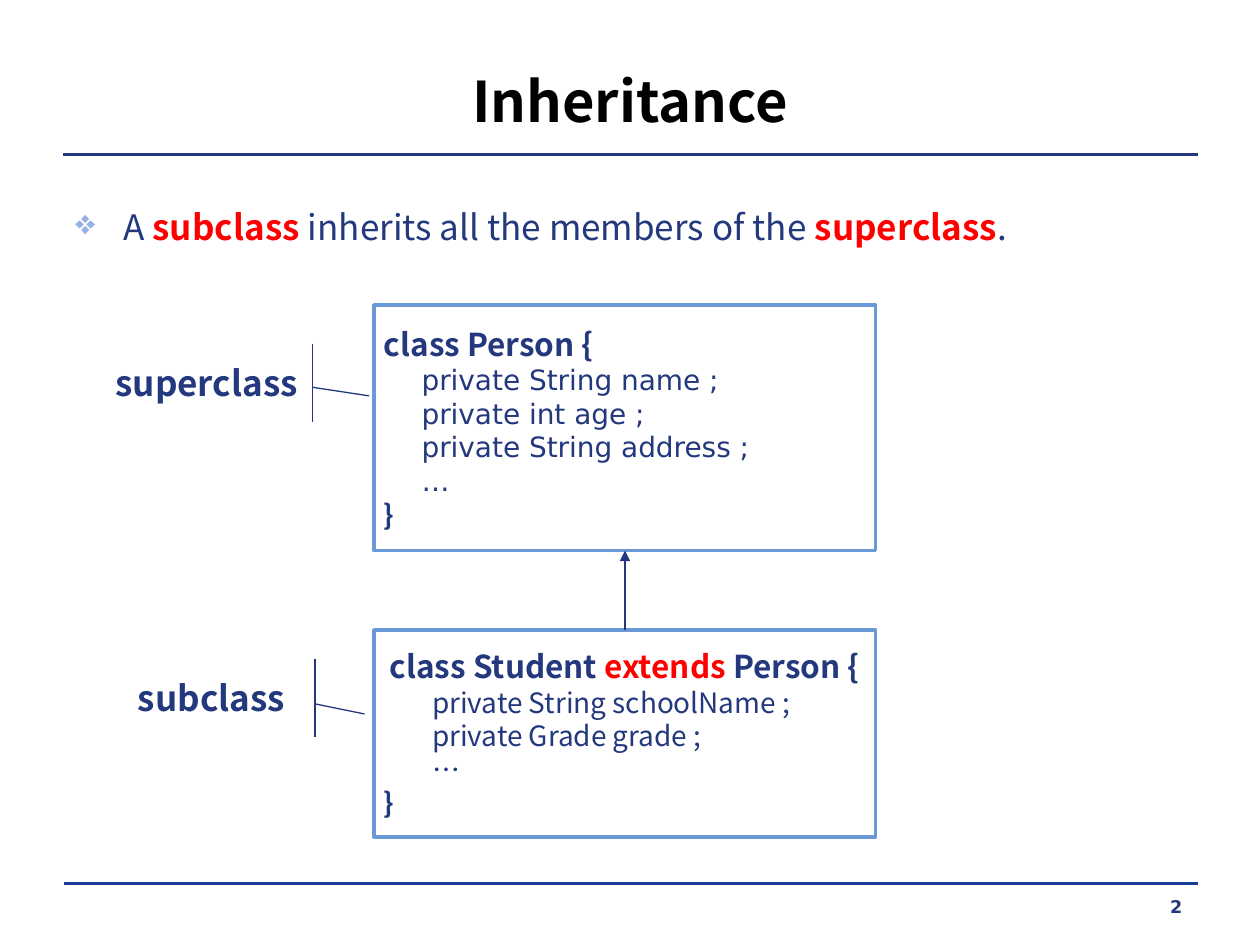
from dataclasses import dataclass

from lxml import etree
from pptx import Presentation
from pptx import util as u
from pptx.dml.color import RGBColor
from pptx.enum import shapes, text
from pptx.oxml.ns import qn


@dataclass(frozen=True)
class Theme:
    navy: str = "23387D"
    rule: str = "1A3D97"
    border: str = "6A99D8"
    bullet: str = "96B1E6"
    red: str = "FF0000"
    black: str = "000000"
    white: str = "FFFFFF"
    sans: str = "Noto Sans CJK KR"
    code: str = "DejaVu Sans"
    title: int = 32
    body: int = 20
    heading: int = 18
    member: int = 16
    number: int = 10


@dataclass
class Run:
    words: str
    size: int
    bold: bool = False
    color: str = Theme.navy
    font: str = Theme.sans


@dataclass
class Para:
    runs: list
    align: text.PP_ALIGN = text.PP_ALIGN.LEFT
    indent: float = 0


class SlideBuilder:
    def __init__(self, slide, theme):
        self.slide = slide
        self.theme = theme

    def fill_text(self, shape, paras, anchor=text.MSO_ANCHOR.MIDDLE, wrap=True):
        frame = shape.text_frame
        frame.word_wrap = wrap
        frame.vertical_anchor = anchor
        for i, para in enumerate(paras):
            line = frame.paragraphs[0] if i == 0 else frame.add_paragraph()
            line.alignment = para.align
            if para.indent:
                line._p.get_or_add_pPr().set("marL", str(u.Cm(para.indent)))
            for part in para.runs:
                run = line.add_run()
                run.text = part.words
                run.font.size = u.Pt(part.size)
                run.font.bold = part.bold
                run.font.name = part.font
                run.font.color.rgb = RGBColor.from_string(part.color)
                east_asian = etree.SubElement(run._r.rPr, qn("a:ea"))
                east_asian.set("typeface", part.font)

    def text_box(self, left, top, width, height, para, anchor=text.MSO_ANCHOR.TOP):
        box = self.slide.shapes.add_textbox(*map(u.Cm, (left, top, width, height)))
        self.fill_text(box, [para], anchor)
        return box

    def bullet_point(self, left, top, width, height, para):
        box = self.text_box(left, top, width, height, para)
        point = box.text_frame.paragraphs[0]
        point.space_before = u.Pt(4)
        props = point._p.get_or_add_pPr()
        props.set("indent", str(-u.Cm(para.indent)))
        color = etree.SubElement(props, qn("a:buClr"))
        etree.SubElement(color, qn("a:srgbClr")).set("val", self.theme.bullet)
        etree.SubElement(props, qn("a:buChar")).set("char", "❖")

    def line(self, x1, y1, x2, y2, color, width, arrow=False):
        line = self.slide.shapes.add_connector(
            shapes.MSO_CONNECTOR.STRAIGHT, *map(u.Cm, (x1, y1, x2, y2)))
        line.line.color.rgb = RGBColor.from_string(color)
        line.line.width = u.Pt(width)
        if arrow:
            tail = etree.SubElement(line.line._get_or_add_ln(), qn("a:tailEnd"))
            tail.set("type", "triangle")
        etree.SubElement(line._element.spPr, qn("a:effectLst"))

    def shape(self, kind, left, top, width, height, color, weight):
        shape = self.slide.shapes.add_shape(
            kind, *map(u.Cm, (left, top, width, height)))
        shape.shadow.inherit = False
        shape.line.color.rgb = RGBColor.from_string(color)
        shape.line.width = u.Pt(weight)
        return shape

    def class_box(self, top, height, paras):
        box = self.shape(shapes.MSO_SHAPE.RECTANGLE, 7.54, top, 10.11, height,
                         self.theme.border, 2)
        box.fill.solid()
        box.fill.fore_color.rgb = RGBColor.from_string(self.theme.white)
        frame = box.text_frame
        frame.margin_left = frame.margin_right = u.Cm(0.2)
        frame.margin_top = frame.margin_bottom = u.Cm(0.13)
        self.fill_text(box, paras)

    def callout(self, left, top, width, words, adjustments):
        label = self.shape(shapes.MSO_SHAPE.LINE_CALLOUT_1_ACCENT_BAR,
                           left, top, width, 1.57, self.theme.navy, 0.75)
        label.fill.background()
        for i, value in enumerate(adjustments):
            label.adjustments[i] = value
        run = Run(words, self.theme.body, bold=True)
        self.fill_text(label, [Para([run], text.PP_ALIGN.CENTER)], wrap=False)


def class_body(members, indent, font, theme):
    """Indented member lines followed by the closing brace."""
    lines = [Para([Run(m, theme.member, font=font)], indent=indent) for m in members]
    return lines + [Para([Run("}", theme.member, bold=True)])]


def main():
    theme = Theme()
    deck = Presentation()
    deck.slide_width, deck.slide_height = u.Cm(25.4), u.Cm(19.05)
    page = SlideBuilder(deck.slides.add_slide(deck.slide_layouts[6]), theme)
    center, right = text.PP_ALIGN.CENTER, text.PP_ALIGN.RIGHT

    page.line(1.3, 17.81, 24.16, 17.81, theme.rule, 0)
    page.line(1.27, 3.12, 24.16, 3.12, theme.navy, 1.5)
    page.text_box(18.29, 17.93, 5.79, 0.61, Para(
        [Run("2", theme.number, True, font=theme.code)], right))
    page.text_box(1.3, 0.89, 22.81, 2.24, Para(
        [Run("Inheritance", theme.title, True, theme.black)], center),
        text.MSO_ANCHOR.MIDDLE)
    page.bullet_point(1.27, 4.01, 22.86, 1.73, Para([
        Run("A ", theme.body),
        Run("subclass", theme.body, True, theme.red),
        Run(" inherits all the members of the ", theme.body),
        Run("superclass", theme.body, True, theme.red),
        Run(".", theme.body),
    ], indent=0.97))

    person = [Para([Run("class Person {", theme.heading, True)])]
    page.class_box(6.15, 4.95, person + class_body(
        ["private String name ;", "private int age ;",
         "private String address ;", "…"], 0.76, theme.code, theme))

    student = [Para([
        Run("class Student ", theme.heading, True),
        Run("extends", theme.heading, True, theme.red),
        Run(" Person {", theme.heading, True),
    ], center)]
    page.class_box(12.7, 4.17, student + class_body(
        ["private String schoolName ;", "private Grade grade ;", "…"],
        0.97, theme.sans, theme))

    page.line(12.6, 12.7, 12.6, 11.1, theme.navy, 1.5, arrow=True)
    page.callout(1.98, 6.93, 4.37, "superclass", (0.56, 0.99, 0.67, 1.25))
    page.callout(2.18, 13.28, 4.17, "subclass", (0.58, 1, 0.71, 1.24))

    deck.save("out.pptx")


if __name__ == "__main__":
    main()
